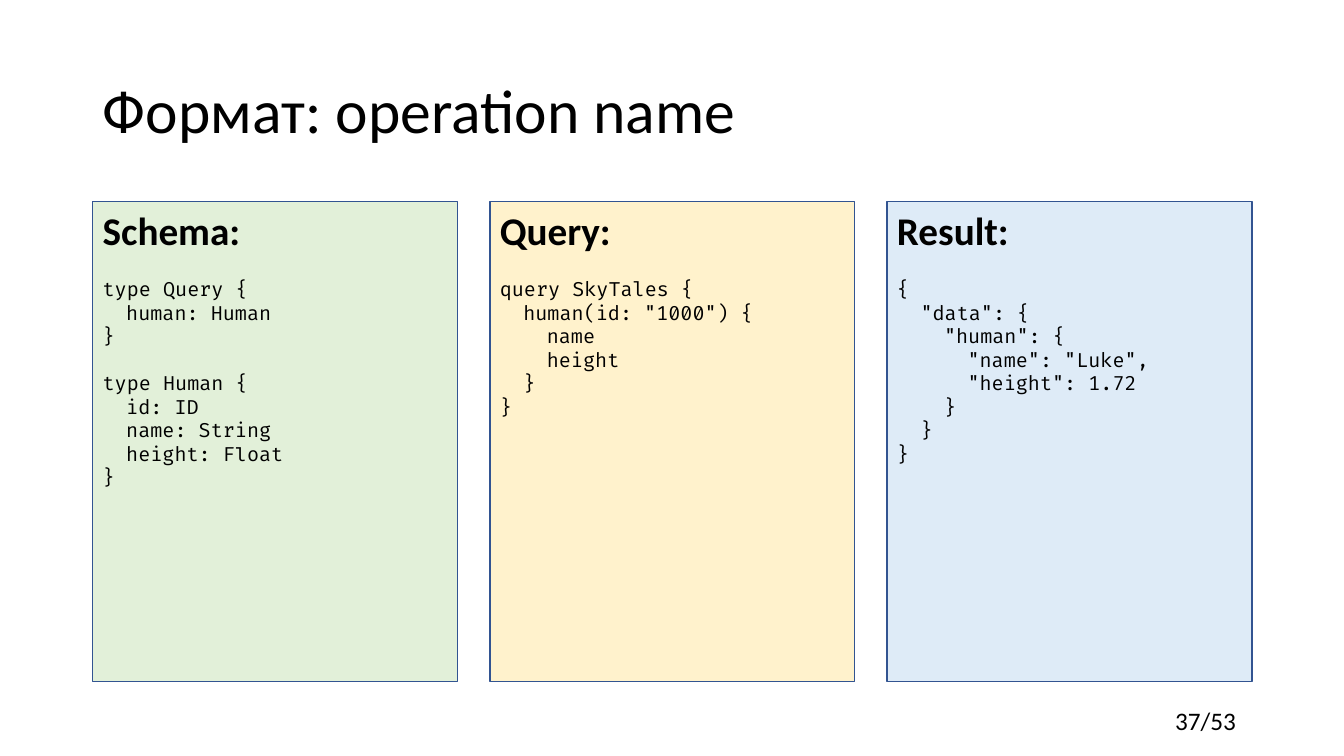
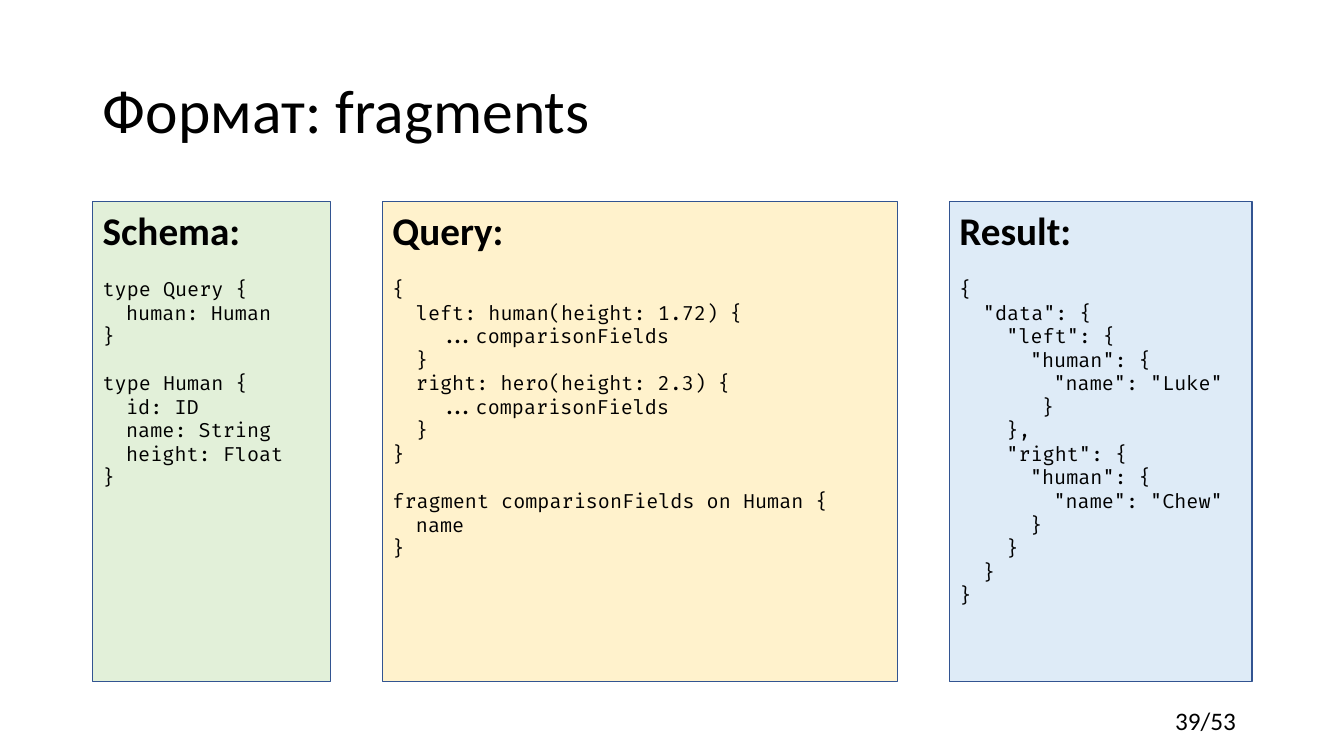
from pptx import Presentation
from pptx.dml.color import RGBColor
from pptx.enum import shapes, text
from pptx import util as u

BLACK = RGBColor(0x00, 0x00, 0x00)
BORDER = RGBColor(0x32, 0x54, 0x91)
GREEN = RGBColor(0xE2, 0xF0, 0xD9)
YELLOW = RGBColor(0xFF, 0xF2, 0xCC)
BLUE = RGBColor(0xDE, 0xEB, 0xF7)

PROSE_FONT, CODE_FONT = "Calibri", "Fira Code"
CODE_SIZE = 14
CHARACTER_WIDTH = 0.6 * CODE_SIZE
BLANK_LINE = 1.2 * CODE_SIZE

CELL = u.Inches(0.1)
COLUMNS, ROWS = 133.33, 75
LEFT, CONTENT_COLUMNS = 9.2, 115
TITLE_AREA = (LEFT, 4, CONTENT_COLUMNS, 14.5)
PAGE_NUMBER_AREA = (115.6, 69.5, 8.5, 4)
PANEL_TOP, PANEL_ROWS = 20, 47.6
PANELS = (("Schema:", GREEN), ("Query:", YELLOW), ("Result:", BLUE))

SCHEMA = """
type Query {
  human: Human
}

type Human {
  id: ID
  name: String
  height: Float
}"""

NAMED_QUERY = """
query SkyTales {
  human(id: "1000") {
    name
    height
  }
}"""

NAMED_RESULT = """
{
  "data": {
    "human": {
      "name": "Luke",
      "height": 1.72
    }
  }
}"""

FRAGMENT_QUERY = """
{
  left: human(height: 1.72) {
    ...comparisonFields
  }
  right: hero(height: 2.3) {
    ...comparisonFields
  }
}

fragment comparisonFields on Human {
  name
}"""

FRAGMENT_RESULT = """
{
  "data": {
    "left": {
      "human": {
        "name": "Luke"
       }
    },
    "right": {
      "human": {
        "name": "Chew"
      }
    }
  }
}"""

SLIDES = (
    ("Формат: operation name", "37/53", (36.2, 36.2, 36.2),
     (SCHEMA, NAMED_QUERY, NAMED_RESULT)),
    ("Формат: fragments", "39/53", (23.6, 51.1, 30),
     (SCHEMA, FRAGMENT_QUERY, FRAGMENT_RESULT)),
)


def cells(*counts):
    return [round(count * CELL) for count in counts]


def write(para, words, size=18, font=PROSE_FONT, bold=False, indent=0,
          before=0, spacing=1.0):
    para.alignment = text.PP_ALIGN.LEFT
    para.space_before = u.Pt(before)
    para.line_spacing = spacing
    if indent:
        para._p.get_or_add_pPr().set("marL", str(u.Pt(indent)))
    span = para.add_run()
    span.text = words
    span.font.size = u.Pt(size)
    span.font.name = font
    span.font.bold = bold
    span.font.color.rgb = BLACK


def write_code(frame, code):
    before = 0
    for line in code.splitlines():
        words = line.lstrip()
        if not words:
            before = BLANK_LINE
            continue
        depth = len(line) - len(words)
        write(frame.add_paragraph(), words, size=CODE_SIZE, font=CODE_FONT,
              indent=depth * CHARACTER_WIDTH, before=before)
        before = 0


def add_panel(page, left, width, heading, fill, code):
    box = page.shapes.add_shape(shapes.MSO_SHAPE.RECTANGLE,
                                *cells(left, PANEL_TOP, width, PANEL_ROWS))
    box.shadow.inherit = False
    box.fill.solid()
    box.fill.fore_color.rgb = fill
    box.line.color.rgb = BORDER
    box.line.width = u.Pt(1)
    frame = box.text_frame
    frame.word_wrap = True
    frame.vertical_anchor = text.MSO_ANCHOR.TOP
    write(frame.paragraphs[0], heading, size=28, bold=True)
    write_code(frame, code)


def add_panels(page, widths, codes):
    gap = (CONTENT_COLUMNS - sum(widths)) / (len(widths) - 1)
    left = LEFT
    for (heading, fill), width, code in zip(PANELS, widths, codes):
        add_panel(page, left, width, heading, fill, code)
        left += width + gap


def add_title(page, words):
    box = page.shapes.title
    box.left, box.top, box.width, box.height = cells(*TITLE_AREA)
    frame = box.text_frame
    frame.auto_size = text.MSO_AUTO_SIZE.NONE
    frame.vertical_anchor = text.MSO_ANCHOR.MIDDLE
    write(frame.paragraphs[0], words, size=44, spacing=0.9)


def add_page_number(page, words):
    frame = page.shapes.add_textbox(*cells(*PAGE_NUMBER_AREA)).text_frame
    frame.word_wrap = False
    frame.auto_size = text.MSO_AUTO_SIZE.SHAPE_TO_FIT_TEXT
    write(frame.paragraphs[0], words)


def main():
    deck = Presentation()
    deck.slide_width, deck.slide_height = cells(COLUMNS, ROWS)
    layout = deck.slide_layouts.get_by_name("Title Only")
    for title, number, widths, codes in SLIDES:
        page = deck.slides.add_slide(layout)
        add_page_number(page, number)
        add_title(page, title)
        add_panels(page, widths, codes)
    deck.save("out.pptx")


if __name__ == "__main__":
    main()
